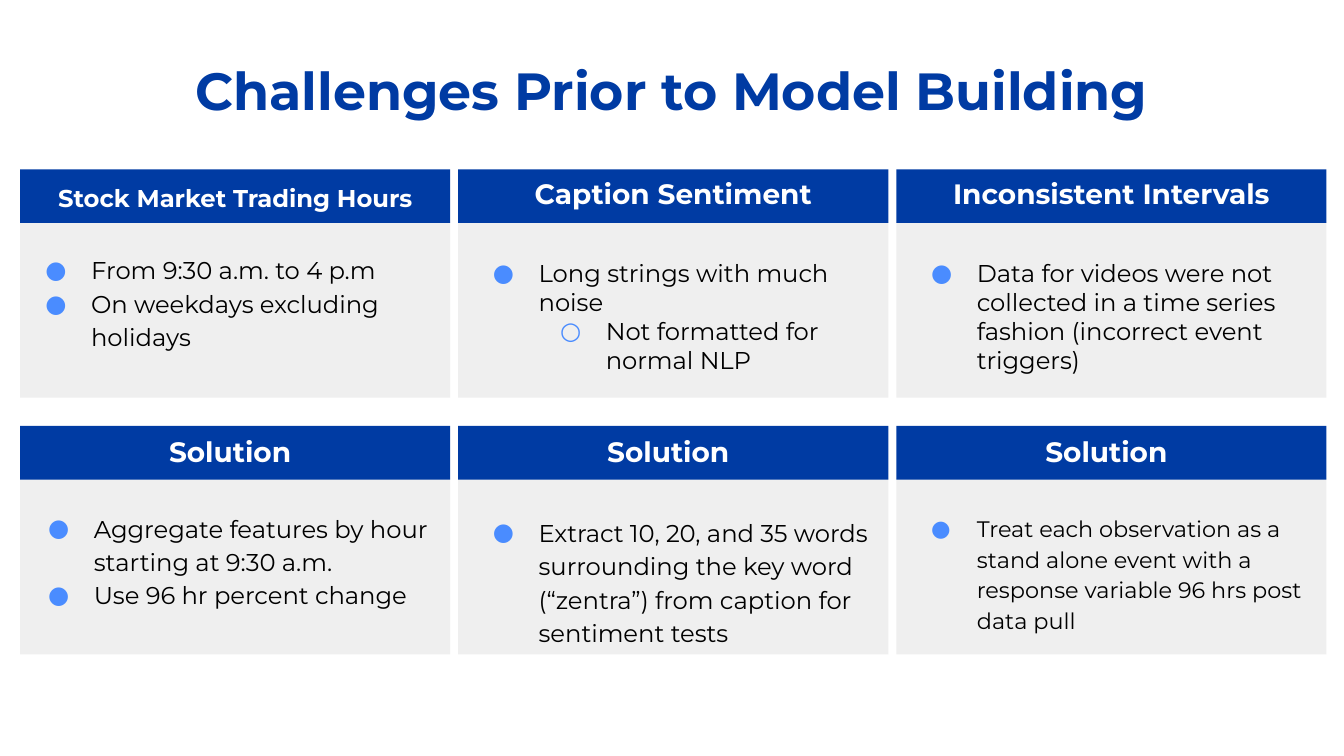
from lxml.etree import SubElement
from pptx import Presentation
from pptx.dml.color import RGBColor
from pptx.enum.shapes import MSO_SHAPE as Shape
from pptx.enum.text import MSO_ANCHOR as Anchor, MSO_AUTO_SIZE as Auto, PP_ALIGN as Align
from pptx.oxml.ns import qn
from pptx.util import Inches, Pt

BLUE, GREY, DOT = "003BA3", "EFEFEF", "4A8CFF"
WHITE, BLACK = "FFFFFF", "000000"
LEFT, STEP, WIDE = 0.15, 3.26, 3.2
BAR, BODY = 0.4, 1.31
BULLETS = "●○"


def color(code):
    return RGBColor.from_string(code)


class Deck:
    font = "Montserrat"

    def __init__(self):
        self.prs = Presentation()
        self.prs.slide_width = Inches(10)
        self.prs.slide_height = Inches(10 * 9 / 16)
        self.slide = self.prs.slides.add_slide(self.prs.slide_layouts[5])

    def style(self, para, size, code, bold=False):
        for run in para.runs:
            run.font.name, run.font.size, run.font.bold = self.font, Pt(size), bold
            run.font.color.rgb = color(code)

    def frame(self, shape):
        frame = shape.text_frame
        frame.word_wrap, frame.auto_size = True, Auto.NONE
        frame.vertical_anchor = Anchor.TOP
        frame.margin_left = frame.margin_right = Inches(0.1)
        frame.margin_top = frame.margin_bottom = Inches(0.1)
        return frame

    def box(self, x, y, w, h):
        return self.frame(self.slide.shapes.add_textbox(
            Inches(x), Inches(y), Inches(w), Inches(h)))

    def title(self, text, x, y, w, h):
        shape = self.slide.shapes.title
        shape.left, shape.top = Inches(x), Inches(y)
        shape.width, shape.height = Inches(w), Inches(h)
        frame = self.frame(shape)
        frame.text = text
        frame.paragraphs[0].alignment = Align.CENTER
        self.style(frame.paragraphs[0], 28, BLUE, True)

    def panel(self, x, y, h, code):
        shape = self.slide.shapes.add_shape(
            Shape.RECTANGLE, Inches(x), Inches(y), Inches(WIDE), Inches(h))
        shape.shadow.inherit = False
        shape.fill.solid()
        shape.fill.fore_color.rgb = color(code)
        shape.line.fill.background()

    def head(self, text, x, y, w, h, size, align):
        frame = self.box(x, y, w, h)
        frame.text = text
        frame.paragraphs[0].alignment = align
        self.style(frame.paragraphs[0], size, WHITE, True)

    def bullets(self, items, x, y, w, size, space):
        """Write (level, text) items as a bulleted list."""
        frame = self.box(x, y, w, 1.02)
        for i, (level, text) in enumerate(items):
            para = frame.add_paragraph() if i else frame.paragraphs[0]
            para.text, para.level, para.line_spacing = text, level, space
            self.style(para, size, BLACK)
            props = para._p.get_or_add_pPr()
            props.set("marL", str(Inches(0.5 * (level + 1))))
            props.set("indent", str(Inches(-0.34)))
            tint = SubElement(props, qn("a:buClr"))
            SubElement(tint, qn("a:srgbClr"), val=DOT)
            SubElement(props, qn("a:buFont"), typeface=self.font)
            SubElement(props, qn("a:buChar"), char=BULLETS[level])


# Heading, its top and size; list shift, top and line spacing; items
ISSUES = [
    ("Stock Market Trading Hours", 1.26, 13, -0.07, 1.77, 1.15,
     [(0, "From 9:30 a.m. to 4 p.m"), (0, "On weekdays excluding holidays")]),
    ("Caption Sentiment", 1.21, 15, 0, 1.82, 1.0,
     [(0, "Long strings with much noise"), (1, "Not formatted for normal NLP")]),
    ("Inconsistent Intervals", 1.21, 15, 0, 1.82, 1.0,
     [(0, "Data for videos were not collected in a time series fashion "
          "(incorrect event triggers)")]),
]
# List shift, top, width and text size; items
FIXES = [
    (-0.05, 3.69, 3.3, 13,
     [(0, "Aggregate features by hour starting at 9:30 a.m."),
      (0, "Use 96 hr percent change")]),
    (0, 3.72, WIDE, 13,
     [(0, "Extract 10, 20, and 35 words surrounding the key word "
          "(“zentra”) from caption for sentiment tests")]),
    (0, 3.7, WIDE, 12,
     [(0, "Treat each observation as a stand alone event with a response "
          "variable 96 hrs post data pull")]),
]


def main():
    deck = Deck()
    deck.title("Challenges Prior to Model Building", 0.78, 0.33, 8.43, 0.63)
    for col, (issue, fix) in enumerate(zip(ISSUES, FIXES)):
        x = LEFT + col * STEP
        for top in (1.26, 3.17):
            deck.panel(x, top + 0.39, BODY, GREY)
            deck.panel(x, top, BAR, BLUE)

        text, top, size, shift, y, space, items = issue
        deck.head(text, x, top, WIDE, 0.49, size, Align.CENTER)
        deck.bullets(items, x + shift, y, WIDE, 13, space)

        shift, y, wide, size, items = fix
        deck.head("Solution", x + 1.01, 3.13, 1.17, 0.4, 15, Align.LEFT)
        deck.bullets(items, x + shift, y, wide, size, 1.15)
    deck.prs.save("out.pptx")


if __name__ == "__main__":
    main()
